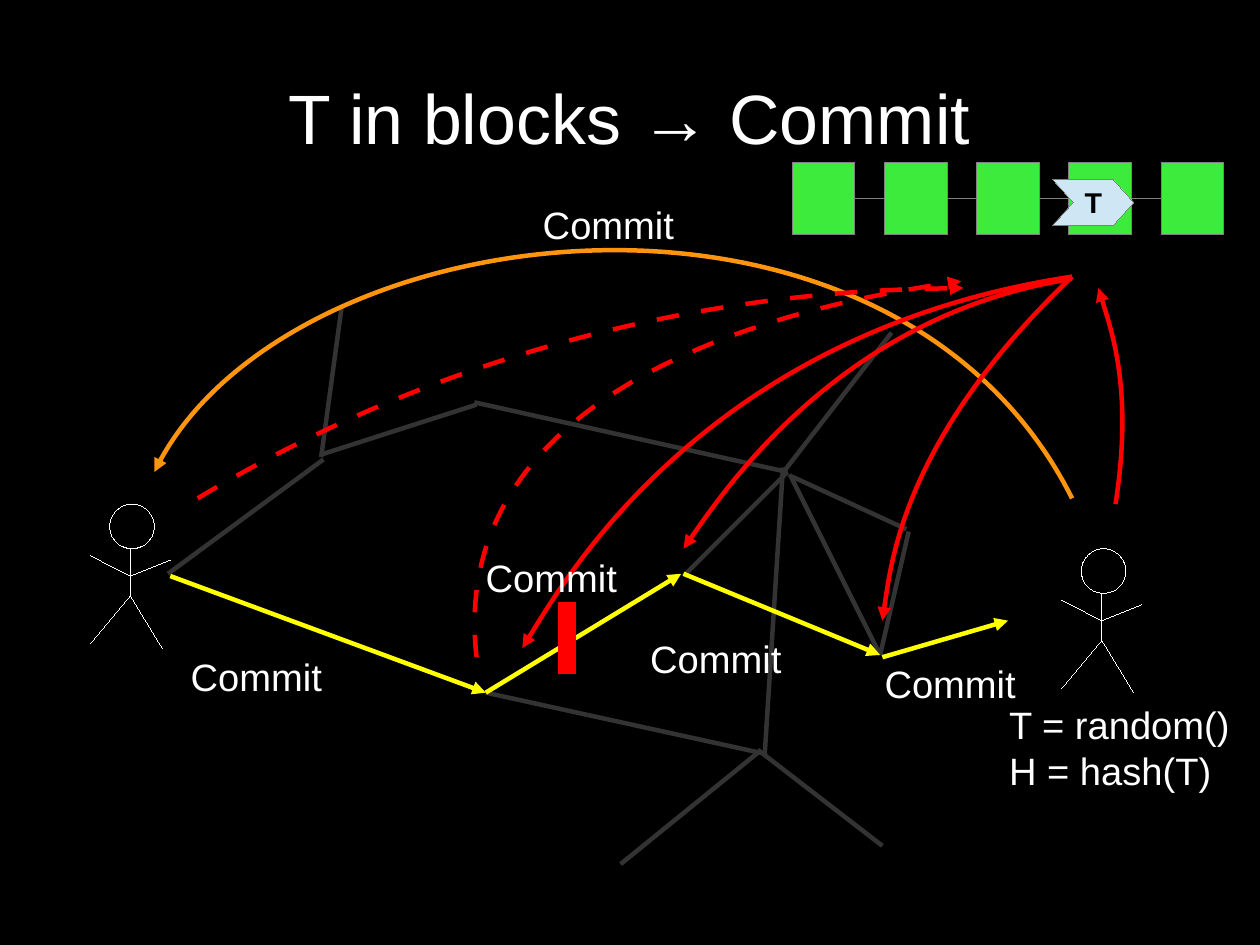
from dataclasses import dataclass
from typing import NamedTuple

from lxml.etree import SubElement
from pptx import Presentation
from pptx.dml.color import RGBColor
from pptx.enum.shapes import MSO_CONNECTOR as Link, MSO_SHAPE as Preset
from pptx.enum.text import MSO_ANCHOR as Anchor, MSO_AUTO_SIZE as AutoSize, PP_ALIGN as Align
from pptx.oxml.ns import qn
from pptx.util import Cm, Inches, Pt

COLORS = {
    "background": "000000", "text": "FFFFFF", "network": "333333", "route": "FFFF00",
    "reply": "FF950E", "signal": "FF0000", "block": "3DEB3D", "outline": "808080",
    "token": "CFE7F5", "token text": "000000",
}
THICK = 2.83
HAIRLINE = 0
CURVE_STEPS = 48


class Point(NamedTuple):
    x: float
    y: float


class Segment(NamedTuple):
    start: Point
    end: Point


@dataclass
class Curve:
    points: tuple[Point, Point, Point, Point]
    color: str = "signal"
    dashed: bool = False


@dataclass
class Label:
    text: str
    left: float
    top: float
    width: float = 1.81
    height: float = 0.47
    size: int = 24
    wrap: bool = True
    align: Align = Align.LEFT


def rgb(name: str) -> RGBColor:
    return RGBColor.from_string(COLORS[name])


def style_line(shape, color: str, width: float, arrow: bool = False, dashed: bool = False) -> None:
    shape.line.color.rgb = rgb(color)
    line_xml = shape.line._get_or_add_ln()
    line_xml.set("w", str(int(Pt(width))))  # a zero width must be written out
    if dashed:
        pattern = SubElement(line_xml, qn("a:custDash"))
        SubElement(pattern, qn("a:ds"), d="500000", sp="500000")
    if arrow:
        SubElement(line_xml, qn("a:tailEnd"), type="triangle")


def style_text(paragraph, text: str, color: str, size: int, align: Align, bold: bool = False) -> None:
    paragraph.alignment = align
    run = paragraph.add_run()
    run.text = text
    run.font.color.rgb = rgb(color)
    for name, value in {"name": "Arial", "size": Pt(size), "bold": bold}.items():
        setattr(run.font, name, value)


def draw_segment(shapes, segment: Segment, color: str, width: float, arrow: bool = False):
    start, end = segment
    connector = shapes.add_connector(
        Link.STRAIGHT, Inches(start[0]), Inches(start[1]), Inches(end[0]), Inches(end[1]))
    style_line(connector, color, width, arrow)
    SubElement(connector._element.spPr, qn("a:effectLst"))
    return connector


def draw_outline(shapes, points: list[Point], close: bool):
    emu = [(Inches(x), Inches(y)) for x, y in points]
    builder = shapes.build_freeform(*emu[0])
    builder.add_line_segments(emu[1:], close=close)
    outline = builder.convert_to_shape()
    outline.shadow.inherit = False
    return outline


def bezier(points: tuple[Point, Point, Point, Point], t: float) -> Point:
    s = 1 - t
    weights = (s ** 3, 3 * s * s * t, 3 * s * t * t, t ** 3)
    return Point(*(sum(w * p[axis] for w, p in zip(weights, points)) for axis in (0, 1)))


def draw_curve(shapes, curve: Curve) -> None:
    # The sampled points give the bounds; one cubic segment then replaces them
    samples = [bezier(curve.points, step / CURVE_STEPS) for step in range(CURVE_STEPS + 1)]
    arc = draw_outline(shapes, samples, close=False)
    outline_xml = next(arc._element.iter(qn("a:path")))
    for line_xml in outline_xml.findall(qn("a:lnTo")):
        outline_xml.remove(line_xml)
    cubic = SubElement(outline_xml, qn("a:cubicBezTo"))
    for x, y in curve.points[1:]:
        SubElement(cubic, qn("a:pt"), x=str(Inches(x) - arc.left), y=str(Inches(y) - arc.top))
    arc.fill.background()
    style_line(arc, curve.color, THICK, arrow=True, dashed=curve.dashed)


def draw_label(shapes, label: Label, anchor: Anchor = Anchor.TOP, inset: bool = True) -> None:
    box = shapes.add_textbox(*map(Inches, (label.left, label.top, label.width, label.height)))
    frame = box.text_frame
    side, edge = (Inches(0.1), Inches(0.05)) if inset else (0, 0)
    settings = {
        "word_wrap": label.wrap, "vertical_anchor": anchor,
        "auto_size": AutoSize.SHAPE_TO_FIT_TEXT if inset else AutoSize.NONE,
        "margin_left": side, "margin_right": side, "margin_top": edge, "margin_bottom": edge,
    }
    for name, value in settings.items():
        setattr(frame, name, value)
    for index, text in enumerate(label.text.split("\n")):
        paragraph = frame.add_paragraph() if index else frame.paragraphs[0]
        style_text(paragraph, text, "text", label.size, label.align)


def draw_person(shapes, left: float, top: float) -> None:
    head = shapes.add_shape(Preset.OVAL, *map(Inches, (left, top, 0.39, 0.39)))
    head.shadow.inherit = False
    head.fill.background()
    style_line(head, "text", HAIRLINE)
    neck, chest, hip = (0.18, 0.39), (0.18, 0.63), (0.18, 0.8)
    limbs = [(chest, (0.53, 0.49)), (chest, (-0.17, 0.45)), (hip, (0.46, 1.26)),
             (hip, (-0.17, 1.22)), (neck, hip)]
    for limb in limbs:
        ends = [Point(left + x, top + y) for x, y in limb]
        draw_segment(shapes, Segment(*ends), "text", HAIRLINE)


def draw_chain(shapes) -> None:
    previous = None
    for index in range(5):
        left = 6.93 + index * 0.807
        block = shapes.add_shape(Preset.RECTANGLE, *map(Inches, (left, 1.42, 0.55, 0.63)))
        block.shadow.inherit = False
        block.fill.solid()
        block.fill.fore_color.rgb = rgb("block")
        style_line(block, "outline", HAIRLINE)
        if previous is not None:
            link = draw_segment(
                shapes, Segment(Point(left - 0.26, 1.73), Point(left, 1.73)), "outline", HAIRLINE)
            link.begin_connect(previous, 3)
            link.end_connect(block, 1)
        previous = block


def draw_token(shapes) -> None:
    corners = [(9.21, 1.57), (9.74, 1.57), (9.92, 1.77), (9.74, 1.97), (9.21, 1.97), (9.39, 1.77)]
    token = draw_outline(shapes, [Point(*corner) for corner in corners], close=True)
    token.fill.solid()
    token.fill.fore_color.rgb = rgb("token")
    style_line(token, "outline", HAIRLINE)
    token.text_frame.word_wrap = False
    token.text_frame.vertical_anchor = Anchor.MIDDLE
    style_text(token.text_frame.paragraphs[0], "T", "token text", 18, Align.CENTER, bold=True)


TITLE = Label("T in blocks → Commit", 0.55, 0.33, 9.92, 1.38, size=44, align=Align.CENTER)
LABELS = [Label("Commit", left, top) for left, top in
          [(1.57, 5.67), (4.65, 1.71), (5.59, 5.51), (7.64, 5.73), (4.15, 4.8)]]
LABELS.append(Label("T = random()\nH = hash(T)", 8.73, 6.09, 2.13, 0.84, wrap=False))

NETWORK = [
    ((7.95, 4.65), (7.7, 5.73)), ((7.93, 4.63), (6.93, 4.17)), ((7.7, 5.73), (6.91, 4.15)),
    ((5.98, 5.04), (6.89, 4.13)), ((1.47, 5.02), (2.83, 4.02)), ((2.99, 2.68), (2.81, 4)),
    ((4.17, 3.54), (2.8, 3.98)), ((4.15, 3.52), (6.89, 4.13)), ((7.8, 2.91), (6.87, 4.11)),
    ((6.69, 6.61), (6.85, 4.09)), ((6.67, 6.59), (4.25, 6.06)), ((6.65, 6.57), (5.43, 7.56)),
    ((6.63, 6.56), (7.72, 7.4)),
]
ROUTE = [((1.49, 5.04), (4.25, 6.06)), ((4.25, 6.06), (5.96, 5.02)),
         ((5.98, 5.02), (7.7, 5.73)), ((7.72, 5.75), (8.82, 5.43))]
CURVES = [
    Curve(((9.38, 4.36), (7.8, 1.21), (2.45, 1.84), (1.35, 4.13)), "reply"),
    Curve(((9.76, 4.41), (9.92, 3.39), (9.61, 2.52), (9.61, 2.52))),
    Curve(((9.38, 2.44), (7.32, 2.76), (5.98, 4.8), (5.98, 4.8))),
    Curve(((9.38, 2.42), (7.87, 3.86), (7.72, 5.43), (7.72, 5.43))),
    Curve(((1.73, 4.36), (4.8, 2.52), (8.43, 2.52), (8.43, 2.52)), dashed=True),
    Curve(((9.38, 2.42), (6.14, 2.91), (4.57, 5.67), (4.57, 5.67))),
    Curve(((4.17, 5.75), (3.86, 3.07), (8.41, 2.46), (8.41, 2.46)), dashed=True),
]


def main() -> None:
    deck = Presentation()
    deck.slide_width, deck.slide_height = Cm(28), Cm(21)
    slide = deck.slides.add_slide(deck.slide_layouts[6])
    slide.background.fill.solid()
    slide.background.fill.fore_color.rgb = rgb("background")
    shapes = slide.shapes
    draw_label(shapes, TITLE, Anchor.MIDDLE, inset=False)
    # Sender and receiver
    for left, top in [(0.96, 4.41), (9.46, 4.8)]:
        draw_person(shapes, left, top)
    # Network and payment route
    for ends in NETWORK:
        draw_segment(shapes, Segment(*ends), "network", THICK)
    for ends in ROUTE:
        draw_segment(shapes, Segment(*ends), "route", THICK, arrow=True)
    # Blockchain and messages
    draw_chain(shapes)
    for curve in CURVES:
        draw_curve(shapes, curve)
    for label in LABELS:
        draw_label(shapes, label)
    # Broken hop and published token
    draw_segment(shapes, Segment(Point(4.96, 5.27), Point(4.96, 5.9)), "signal", 11.34)
    draw_token(shapes)
    deck.save("out.pptx")


if __name__ == "__main__":
    main()
